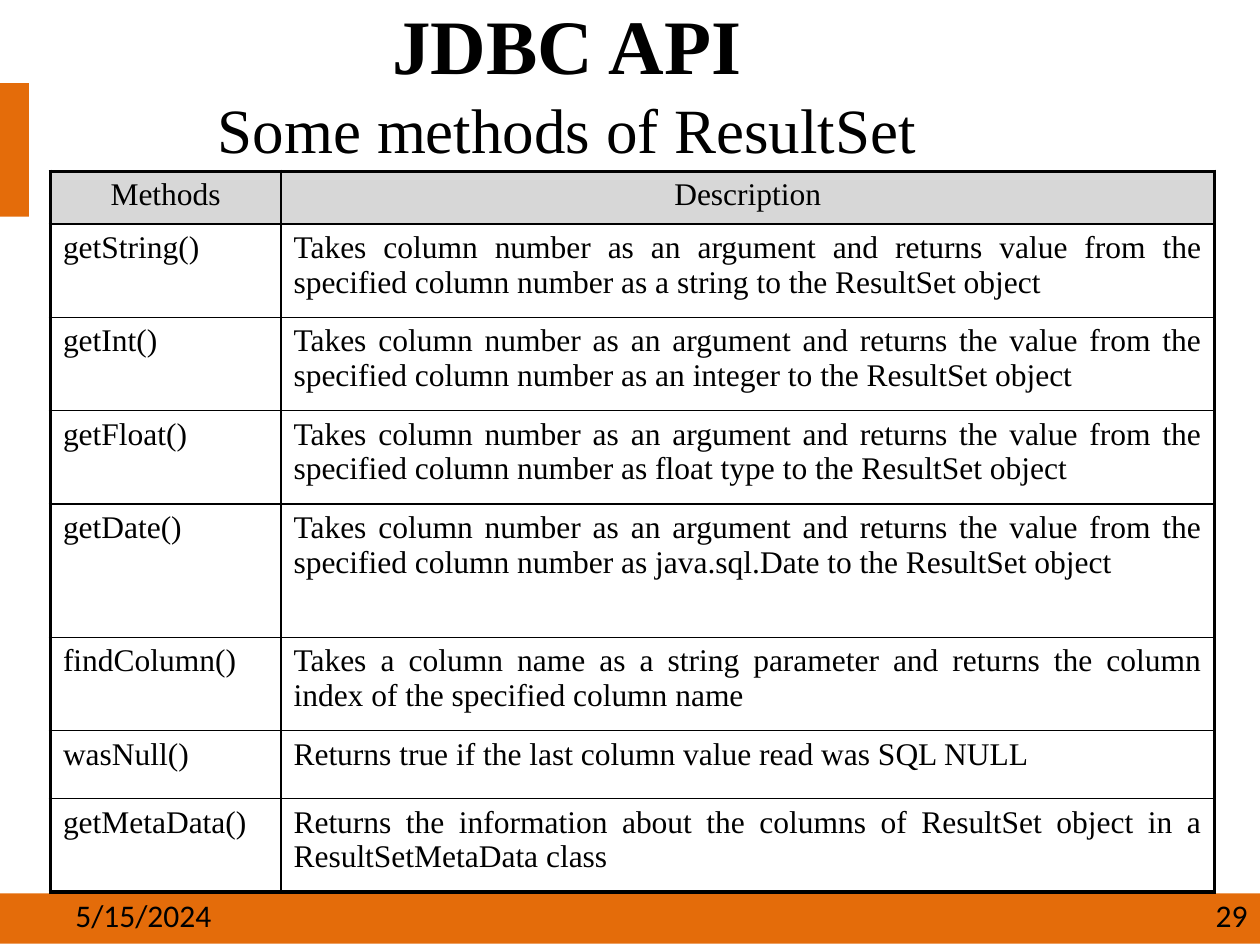
from lxml.etree import SubElement
from pptx import Presentation
from pptx.dml.color import RGBColor
from pptx.enum.shapes import MSO_SHAPE
from pptx.enum.text import MSO_ANCHOR as Anchor, PP_ALIGN as Align
from pptx.oxml.ns import qn
from pptx.util import Inches, Pt

WIDTH, HEIGHT = 10, 7.5
ORANGE, GREY, BLACK = "E46C0A", "D7D7D7", "000000"
SERIF, SANS = "Times New Roman", "Calibri"
THIN, THICK = 1, 2.25

COLUMNS = [1.83, 7.41]
ROWS = [0.42, 0.74, 0.74, 0.74, 1.06, 0.74, 0.54, 0.74]
TAKES = "Takes column number as an argument and returns "
FROM = "value from the specified column number as "
TO = " to the ResultSet object"
METHODS = [
    ("Methods", "Description"),
    ("getString()", TAKES + FROM + "a string" + TO),
    ("getInt()", TAKES + "the " + FROM + "an integer" + TO),
    ("getFloat()", TAKES + "the " + FROM + "float type" + TO),
    ("getDate()", TAKES + "the " + FROM + "java.sql.Date" + TO),
    ("findColumn()", "Takes a column name as a string parameter and returns "
                     "the column index of the specified column name"),
    ("wasNull()", "Returns true if the last column value read was SQL NULL"),
    ("getMetaData()", "Returns the information about the columns of ResultSet "
                      "object in a ResultSetMetaData class"),
]


def color(value):
    return RGBColor.from_string(value)


def inches(box):
    return [Inches(length) for length in box]


def write(paragraph, text, size=18, font=SERIF, bold=False, align=Align.LEFT):
    paragraph.alignment = align
    run = paragraph.add_run()
    run.text = text
    run.font.size = Pt(size)
    run.font.name = font
    run.font.bold = bold
    run.font.color.rgb = color(BLACK)


def add_text_frame(slide, box, anchor=Anchor.TOP):
    frame = slide.shapes.add_textbox(*inches(box)).text_frame
    frame.word_wrap = True
    frame.vertical_anchor = anchor
    return frame


def add_bar(slide, box):
    bar = slide.shapes.add_shape(MSO_SHAPE.RECTANGLE, *inches(box))
    bar.shadow.inherit = False
    bar.fill.solid()
    bar.fill.fore_color.rgb = color(ORANGE)
    bar.line.fill.background()


def add_title(slide, box):
    frame = add_text_frame(slide, box, Anchor.MIDDLE)
    write(frame.paragraphs[0], "JDBC API", size=44, bold=True, align=Align.CENTER)
    write(frame.add_paragraph(), "Some methods of ResultSet", size=36, align=Align.CENTER)


def set_borders(cell, widths):
    """Draw the left, right, top and bottom borders, ahead of the cell fill."""
    properties = cell._tc.get_or_add_tcPr()
    for index, (side, width) in enumerate(zip("LRTB", widths)):
        line = SubElement(properties, qn(f"a:ln{side}"), w=str(Pt(width)))
        fill = SubElement(line, qn("a:solidFill"))
        SubElement(fill, qn("a:srgbClr"), val=BLACK)
        properties.insert(index, line)


def add_methods_table(slide, box):
    frame = slide.shapes.add_table(len(ROWS), len(COLUMNS), *inches(box))
    table = frame.table
    for column, width in zip(table.columns, COLUMNS):
        column.width = Inches(width)
    for row, height in zip(table.rows, ROWS):
        row.height = Inches(height)

    for r, texts in enumerate(METHODS):
        for c, text in enumerate(texts):
            cell = table.cell(r, c)
            if r == 0:
                align = Align.CENTER
                cell.fill.solid()
                cell.fill.fore_color.rgb = color(GREY)
            else:
                align = Align.JUSTIFY if c else Align.LEFT
                cell.fill.background()
            write(cell.text_frame.paragraphs[0], text, align=align)
            # Thick lines run round the outside of the table only
            outer = (c == 0, c == len(COLUMNS) - 1, r == 0, r == len(ROWS) - 1)
            set_borders(cell, [THICK if edge else THIN for edge in outer])


def add_footer(slide, box):
    left, top, width, height = box
    add_bar(slide, box)
    label_width, label_top = width * 0.233, top - 0.03
    date = add_text_frame(slide, (left + width * 0.05, label_top, label_width, height))
    write(date.paragraphs[0], "5/15/2024", font=SANS)
    number = add_text_frame(slide, (left + width - label_width, label_top, label_width, height))
    write(number.paragraphs[0], "29", font=SANS, align=Align.RIGHT)


def main():
    presentation = Presentation()
    presentation.slide_width, presentation.slide_height = inches((WIDTH, HEIGHT))
    slide = presentation.slides.add_slide(presentation.slide_layouts[6])

    # Side accent
    add_bar(slide, (0, 0.66, 0.23, 1.06))
    # Footer band with date and page number
    add_footer(slide, (0, 7.09, WIDTH, 0.4))
    # Heading and table
    add_title(slide, (0, 0, WIDTH * 0.9, 1.3))
    add_methods_table(slide, (0.4, 1.36, sum(COLUMNS), sum(ROWS)))

    presentation.save("out.pptx")


if __name__ == "__main__":
    main()
